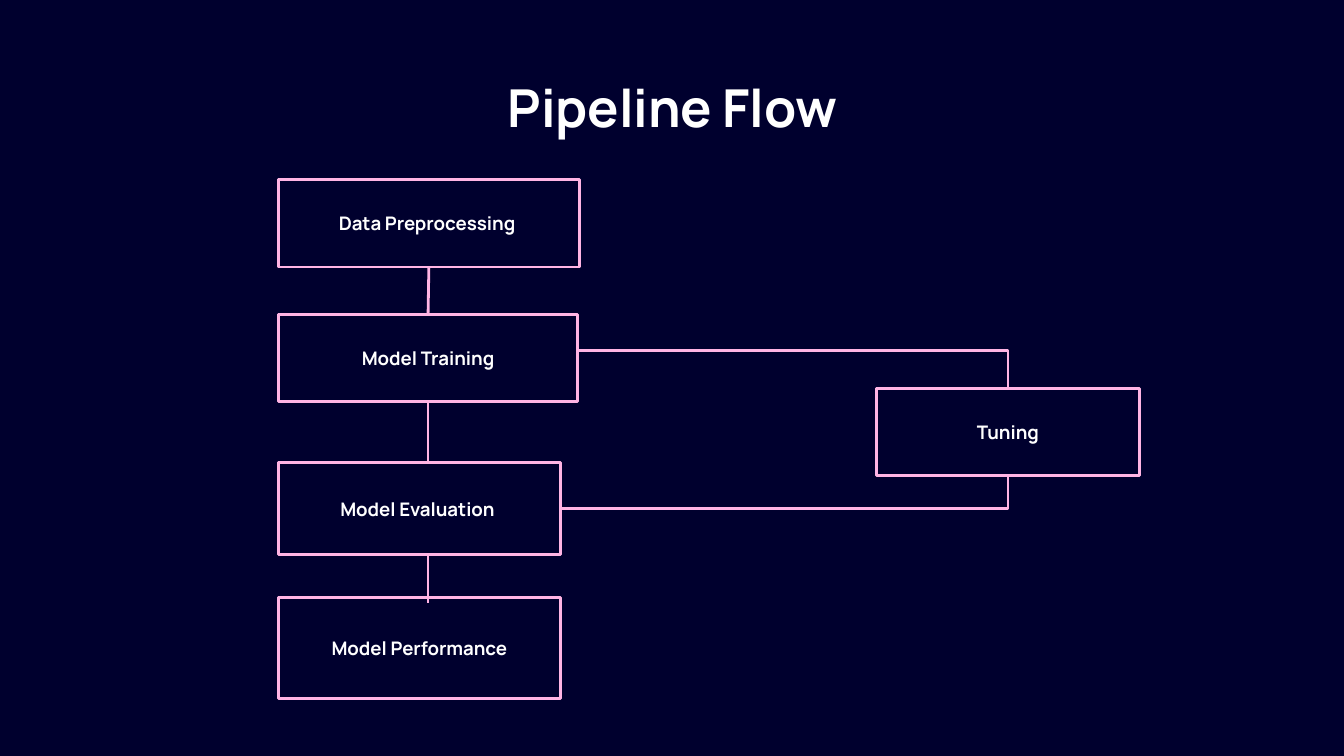
from dataclasses import dataclass

from lxml.etree import SubElement
from pptx import Presentation
from pptx.dml.color import RGBColor
from pptx.enum.shapes import MSO_CONNECTOR, MSO_SHAPE
from pptx.enum.text import MSO_ANCHOR, PP_ALIGN
from pptx.oxml.ns import qn
from pptx.util import Cm, Pt

# Content: label, left, top, width, height in cm
TITLE = ("Pipeline Flow", 2.01, 1.24, 21.41, 1.6)
STEPS = {
    "preprocessing": ("Data Preprocessing ", 5.26, 3.4, 5.69, 1.65),
    "training": ("Model Training", 5.26, 5.94, 5.66, 1.65),
    "tuning": ("Tuning", 16.56, 7.34, 4.98, 1.65),
    "evaluation": ("Model Evaluation ", 5.26, 8.74, 5.33, 1.75),
    "performance": ("Model Performance", 5.26, 11.3, 5.33, 1.9),
}
TUNING_BRANCH_Y = 6.63
SPINE_OVERLAP = 0.1
BOTTOM, TOP = 2, 0


@dataclass(frozen=True)
class Theme:
    background: RGBColor = RGBColor.from_string("00002E")
    outline: RGBColor = RGBColor.from_string("FFB4E4")
    text: RGBColor = RGBColor.from_string("FFFFFF")
    font: str = "Manrope"
    title_size: Pt = Pt(28)
    label_size: Pt = Pt(10)
    line_width: Pt = Pt(1.5)


THEME = Theme()


def write(shape, text, size):
    frame = shape.text_frame
    frame.word_wrap = True
    frame.vertical_anchor = MSO_ANCHOR.MIDDLE
    paragraph = frame.paragraphs[0]
    paragraph.text = text
    paragraph.alignment = PP_ALIGN.CENTER
    font = paragraph.font
    font.name, font.size, font.bold = THEME.font, size, True
    font.color.rgb = THEME.text


def style_line(line):
    line.color.rgb = THEME.outline
    line.width = THEME.line_width


def add_box(page, label, *place):
    box = page.shapes.add_shape(MSO_SHAPE.RECTANGLE, *map(Cm, place))
    box.shadow.inherit = False
    box.fill.background()
    style_line(box.line)
    write(box, label, THEME.label_size)
    return box


def add_link(page, kind, *ends):
    link = page.shapes.add_connector(kind, *ends)
    style_line(link.line)
    properties = link._element.spPr
    SubElement(properties, qn("a:effectLst"))
    if kind == MSO_CONNECTOR.ELBOW:  # one single corner
        properties.find(qn("a:prstGeom")).set("prst", "bentConnector2")
    return link


def main():
    deck = Presentation()
    deck.slide_width, deck.slide_height = Cm(25.4), Cm(14.29)
    page = deck.slides.add_slide(deck.slide_layouts[6])
    page.background.fill.solid()
    page.background.fill.fore_color.rgb = THEME.background

    # Title
    text, *place = TITLE
    title = page.shapes.add_textbox(*map(Cm, place))
    write(title, text, THEME.title_size)
    title.text_frame.vertical_anchor = MSO_ANCHOR.TOP
    title.text_frame.margin_top = Cm(0.18)
    title.text_frame.margin_bottom = 0

    # Steps
    boxes = {name: add_box(page, *step) for name, step in STEPS.items()}
    preprocessing, training, tuning, evaluation, performance = boxes.values()

    # Vertical spine through the centre of the training step
    spine_x = training.left + training.width // 2

    def add_spine(upper, lower, overlap=0):
        return add_link(page, MSO_CONNECTOR.STRAIGHT, spine_x, upper.top + upper.height,
                        spine_x, lower.top + overlap)

    first = add_spine(preprocessing, training)
    first.begin_connect(preprocessing, BOTTOM)
    first.end_connect(training, TOP)
    add_spine(training, evaluation).begin_connect(training, BOTTOM)
    add_spine(evaluation, performance, Cm(SPINE_OVERLAP))

    # Tuning loop
    tuning_x = tuning.left + tuning.width // 2
    branches = (
        (training, Cm(TUNING_BRANCH_Y), tuning.top),
        (evaluation, evaluation.top + evaluation.height // 2, tuning.top + tuning.height),
    )
    for step, start_y, end_y in branches:
        add_link(page, MSO_CONNECTOR.ELBOW, step.left + step.width, start_y, tuning_x, end_y)

    deck.save("out.pptx")


if __name__ == "__main__":
    main()
